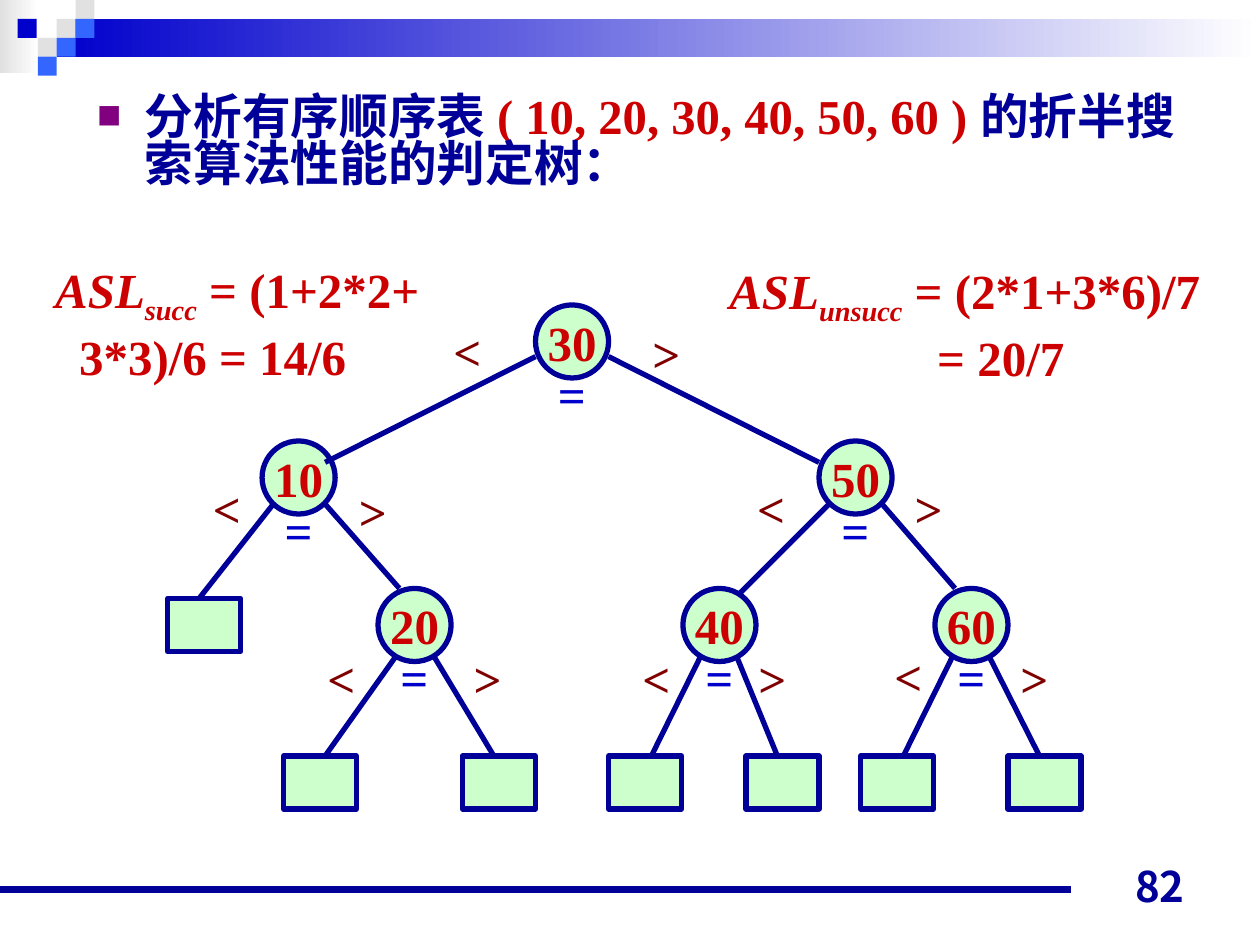
from lxml import etree
from pptx import Presentation
from pptx.dml.color import RGBColor
from pptx.enum import shapes, text
from pptx.oxml.ns import qn
from pptx.util import Inches, Pt

NAVY, BLUE, SKY, GREY = "000099", "0000CC", "3366FF", "E1E1E1"
RED, MAROON, MINT, PURPLE = "CC0000", "800000", "CCFFCC", "800080"
SERIF, SANS = "Times New Roman", "Noto Sans CJK JP"


def color(hex_code):
    return RGBColor.from_string(hex_code)


def add_run(paragraph, words, hex_code, size=28, font=SERIF):
    """Add one bold run, with the sans face for Chinese characters."""
    run = paragraph.add_run()
    run.text = words
    run.font.size, run.font.bold, run.font.name = Pt(size), True, font
    run.font.color.rgb = color(hex_code)
    etree.SubElement(run.font._element, qn("a:ea"), typeface=SANS)
    return run


presentation = Presentation()
presentation.slide_width, presentation.slide_height = Inches(10), Inches(7.5)
slide = presentation.slides.add_slide(presentation.slide_layouts[1])
title = slide.shapes.title
title._element.getparent().remove(title._element)

# Header bands fade to white, with small squares on top
for left, top, width, height, shade in [
    (0, 0, 0.31, 0.58, GREY),
    (0.45, 0.15, 9.55, 0.3, BLUE),
]:
    band = slide.shapes.add_shape(
        shapes.MSO_SHAPE.RECTANGLE, Inches(left), Inches(top), Inches(width), Inches(height))
    band.shadow.inherit = False
    band.line.fill.background()
    band.fill.gradient()
    band.fill.gradient_angle = 180
    for stop, stop_color in zip(band.fill.gradient_stops, ("FFFFFF", shade)):
        stop.color.rgb = color(stop_color)

for left, top, shade in [
    (0.45, 0.15, GREY), (0.6, 0, GREY), (0.6, 0.15, SKY), (0.3, 0.3, GREY),
    (0.14, 0.15, BLUE), (0.45, 0.3, SKY), (0.3, 0.45, SKY),
]:
    square = slide.shapes.add_shape(
        shapes.MSO_SHAPE.RECTANGLE, Inches(left), Inches(top), Inches(0.15), Inches(0.15))
    square.shadow.inherit = False
    square.line.fill.background()
    square.fill.solid()
    square.fill.fore_color.rgb = color(shade)

# Statement
body = slide.placeholders[1]
body.left, body.top, body.width, body.height = Inches(0.67), Inches(0.72), Inches(8.84), Inches(1.33)
body.text_frame.auto_size = text.MSO_AUTO_SIZE.NONE
statement = body.text_frame.paragraphs[0]
properties = statement._p.get_or_add_pPr()
properties.set("marL", str(Inches(0.38)))
properties.set("indent", str(Inches(-0.38)))
bullet_color = etree.SubElement(properties, qn("a:buClr"))
etree.SubElement(bullet_color, qn("a:srgbClr"), val=PURPLE)
etree.SubElement(properties, qn("a:buSzPct"), val="50000")
etree.SubElement(properties, qn("a:buFont"), typeface=SANS)
etree.SubElement(properties, qn("a:buChar"), char="■")
statement.line_spacing = 0.8
statement.space_before = Pt(0)
add_run(statement, "分析有序顺序表 ", NAVY, 27.8)
add_run(statement, "( 10, 20, 30, 40, 50, 60 ) ", RED, 27.8)
add_run(statement, "的折半搜索算法性能的判定树：", NAVY, 27.8)

# Tree: the upper nodes and leaves lie below the edges, the lower nodes above
upper_nodes = [("10", 2.08, 3.5), ("50", 6.5, 3.5), ("30", 4.25, 2.42)]
lower_nodes = [("20", 3, 4.67), ("40", 5.42, 4.67), ("60", 7.42, 4.67)]
leaves = [("", 1.33, 4.75)] + [("", left, 6) for left in (2.25, 3.67, 4.83, 5.92, 6.83, 8)]
edges = [
    (4.25, 2.83, 2.58, 3.67), (4.83, 2.83, 6.5, 3.67),
    (2.17, 4, 1.58, 4.75), (2.58, 4, 3.17, 4.67),
    (6.58, 4, 5.83, 4.75), (7, 4, 7.58, 4.67),
    (3.17, 5.17, 2.58, 6), (3.42, 5.17, 3.92, 6),
    (5.58, 5.17, 5.17, 6), (5.83, 5.17, 6.17, 6),
    (7.58, 5.17, 7.17, 6), (7.83, 5.17, 8.25, 6),
]
footer_rule = (0, 7.06, 8.5, 7.06)

for layer in (upper_nodes + leaves, edges + [footer_rule], lower_nodes):
    for item in layer:
        if layer[0] is edges[0]:
            line = slide.shapes.add_connector(
                shapes.MSO_CONNECTOR.STRAIGHT, *[Inches(value) for value in item])
            line.line.color.rgb = color(NAVY)
            line.line.width = Pt(4.5 if item is footer_rule else 3)
            etree.SubElement(line._element.spPr, qn("a:effectLst"))
            continue
        key, left, top = item
        outline = shapes.MSO_SHAPE.OVAL if key else shapes.MSO_SHAPE.RECTANGLE
        node = slide.shapes.add_shape(
            outline, Inches(left), Inches(top), Inches(0.58), Inches(0.58 if key else 0.42))
        node.shadow.inherit = False
        node.fill.solid()
        node.fill.fore_color.rgb = color(MINT)
        node.line.color.rgb = color(NAVY)
        node.line.width = Pt(3)
        if key:
            node.text_frame.word_wrap = False
            node.text_frame.vertical_anchor = text.MSO_ANCHOR.MIDDLE
            node.text_frame.paragraphs[0].alignment = text.PP_ALIGN.CENTER
            add_run(node.text_frame.paragraphs[0], key, RED)

# Comparison signs
signs = [("=", left + 0.08, top + 0.42) for _, left, top in upper_nodes + lower_nodes]
signs += [("<", left, top) for left, top in [
    (3.5, 2.5), (1.59, 3.75), (5.91, 3.75), (2.5, 5.1), (5, 5.1), (7, 5.08)]]
signs += [(">", left, top) for left, top in [
    (5.08, 2.52), (2.75, 3.77), (7.16, 3.75), (3.66, 5.1), (5.92, 5.1), (8, 5.1)]]
for sign, left, top in signs:
    box = slide.shapes.add_textbox(Inches(left), Inches(top), Inches(0.42), Inches(0.57))
    box.text_frame.word_wrap = False
    add_run(box.text_frame.paragraphs[0], sign, BLUE if sign == "=" else MAROON)

# Average search lengths
for left, top, width, index, first, second, indent in [
    (5.69, 2.02, 3.94, "unsucc", " = (2*1+3*6)/7", "= 20/7", 1.65),
    (0.34, 2.01, 3.17, "succ", " = (1+2*2+", "3*3)/6 = 14/6", 0.19),
]:
    box = slide.shapes.add_textbox(Inches(left), Inches(top), Inches(width), Inches(1.1))
    box.text_frame.word_wrap = False
    formula = box.text_frame.paragraphs[0]
    add_run(formula, "ASL", RED).font.italic = True
    subscript = add_run(formula, index, RED)
    subscript.font.italic = True
    subscript.font._element.set("baseline", "-25000")
    add_run(formula, first, RED)
    result = box.text_frame.add_paragraph()
    result._p.get_or_add_pPr().set("marL", str(Inches(indent)))
    add_run(result, second, RED)

# Page number
page = slide.shapes.add_textbox(Inches(7.17), Inches(6.78), Inches(2.33), Inches(0.5))
page.text_frame.word_wrap = True
page.text_frame.vertical_anchor = text.MSO_ANCHOR.BOTTOM
page.text_frame.paragraphs[0].alignment = text.PP_ALIGN.RIGHT
add_run(page.text_frame.paragraphs[0], "82", NAVY, 24, SANS)

presentation.save("out.pptx")
